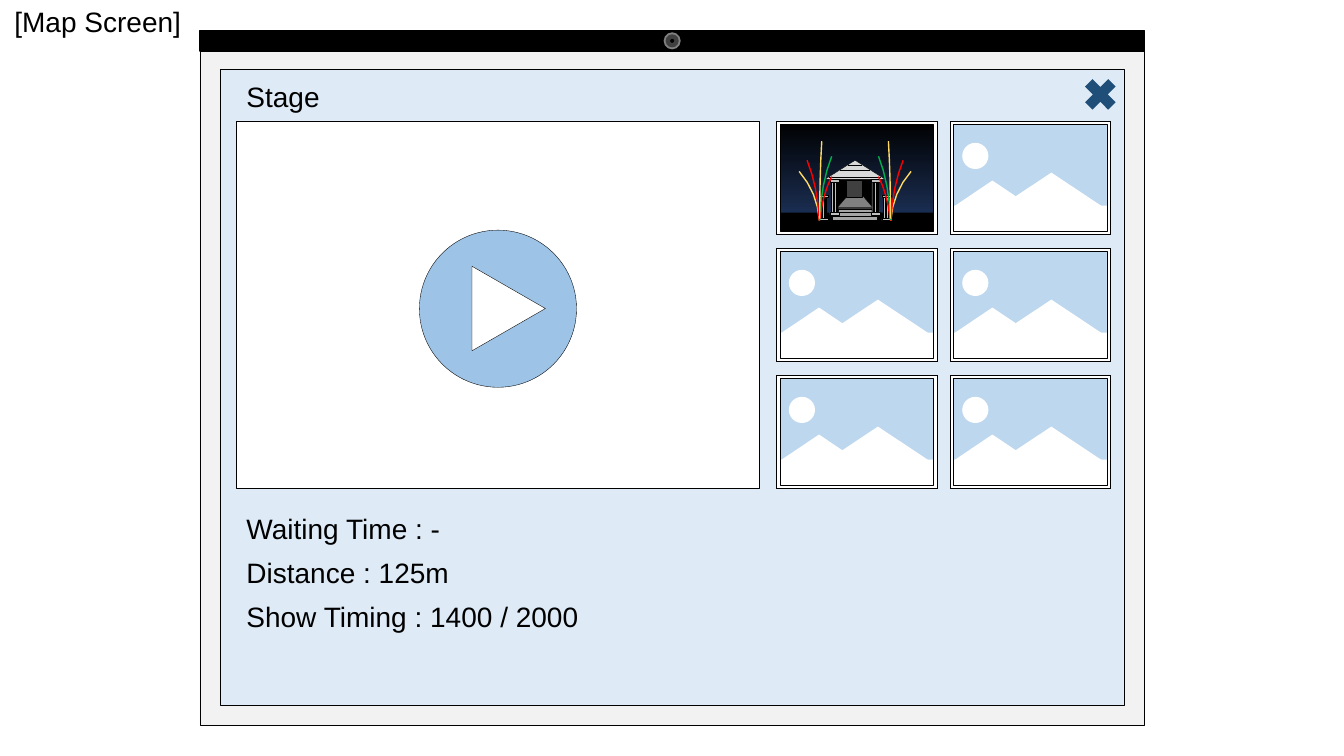
from itertools import product

from lxml.etree import SubElement
from pptx import Presentation
from pptx.dml.color import RGBColor
from pptx.enum.shapes import MSO_CONNECTOR, MSO_SHAPE
from pptx.enum.text import MSO_AUTO_SIZE, PP_ALIGN
from pptx.oxml.ns import qn
from pptx.util import Cm, Pt

BLACK = RGBColor(0x00, 0x00, 0x00)
CHARCOAL = RGBColor(0x40, 0x40, 0x40)
GRAY = RGBColor(0x80, 0x80, 0x80)
STEP_GRAY = RGBColor(0xA6, 0xA6, 0xA6)
COLUMN_GRAY = RGBColor(0xBF, 0xBF, 0xBF)
ROOF_GRAY = RGBColor(0xD9, 0xD9, 0xD9)
CASE_GRAY = RGBColor(0xF2, 0xF2, 0xF2)
WHITE = RGBColor(0xFF, 0xFF, 0xFF)
PANEL_BLUE = RGBColor(0xDE, 0xEB, 0xF7)
SKY_BLUE = RGBColor(0xBD, 0xD7, 0xEE)
PLAY_BLUE = RGBColor(0x9D, 0xC3, 0xE6)
CLOSE_BLUE = RGBColor(0x1F, 0x4E, 0x79)
NIGHT_BLUE = RGBColor(0x20, 0x38, 0x64)
YELLOW = RGBColor(0xFF, 0xD9, 0x66)
RED = RGBColor(0xFF, 0x00, 0x00)
GREEN = RGBColor(0x00, 0xB0, 0x50)

HAIRLINE = 0.25
CURVE_STEPS = 4
# Colour, base, middle and tip of each right-hand firework, from the stage axis
FIREWORKS = [
    (YELLOW, (0.9, 2.51), (1.05, 1.85), (1.41, 1.27)),
    (RED, (0.9, 2.51), (1.0, 1.7), (1.21, 0.99)),
    (GREEN, (0.89, 2.49), (0.8, 1.63), (0.59, 0.89)),
    (RED, (0.88, 2.46), (0.78, 1.9), (0.59, 1.4)),
    (YELLOW, (0.89, 2.46), (0.88, 1.45), (0.84, 0.51)),
]


def add_part(shapes, kind, left, top, width, height, color, line=None):
    shape = shapes.add_shape(kind, Cm(left), Cm(top), Cm(width), Cm(height))
    shape.shadow.inherit = False
    shape.fill.solid()
    shape.fill.fore_color.rgb = color
    if line is None:
        shape.line.fill.background()
    else:
        shape.line.color.rgb = BLACK
        shape.line.width = Pt(line)
    return shape


def add_centred(shapes, kind, axis, top, width, height, color, line=HAIRLINE):
    return add_part(shapes, kind, axis - width / 2, top, width, height, color, line)


def add_stroke(shapes, x1, y1, x2, y2):
    stroke = shapes.add_connector(MSO_CONNECTOR.STRAIGHT, Cm(x1), Cm(y1), Cm(x2), Cm(y2))
    stroke.line.color.rgb = BLACK
    stroke.line.width = Pt(HAIRLINE)
    SubElement(stroke._element.spPr, qn("a:effectLst"))


def add_label(page, text, left, top, width, align=PP_ALIGN.LEFT):
    box = page.shapes.add_textbox(Cm(left), Cm(top), Cm(width), Cm(1.11))
    frame = box.text_frame
    frame.word_wrap = True
    frame.auto_size = MSO_AUTO_SIZE.SHAPE_TO_FIT_TEXT
    frame.text = text
    para = frame.paragraphs[0]
    para.alignment = align
    span = para.runs[0]
    span.font.name = "Arial"
    span.font.size = Pt(20)
    span.font.color.rgb = BLACK


def add_tablet(page, left, top, width, height):
    shapes = page.shapes.add_group_shape().shapes
    bar = 0.52
    add_part(shapes, MSO_SHAPE.RECTANGLE, left, top + bar, width, height - bar,
             CASE_GRAY, HAIRLINE)
    add_part(shapes, MSO_SHAPE.RECTANGLE, left, top, width, bar, BLACK, 1)
    # Camera rings
    for size, color in [(0.43, GRAY), (0.33, CHARCOAL), (0.1, BLACK)]:
        add_centred(shapes, MSO_SHAPE.OVAL, left + width / 2, top + (bar - size) / 2,
                    size, size, color, None)


def add_video(page, left, top, width, height):
    add_part(page.shapes, MSO_SHAPE.RECTANGLE, left, top, width, height, WHITE, HAIRLINE)
    # Play button
    axis, middle, size = left + width / 2, top + height / 2 + 0.1, 3.96
    add_centred(page.shapes, MSO_SHAPE.OVAL, axis, middle - size / 2, size, size, PLAY_BLUE)
    arrow = add_centred(page.shapes, MSO_SHAPE.ISOSCELES_TRIANGLE, axis + 0.27,
                        middle - 0.93, 2.13, 1.85, WHITE)
    arrow.rotation = 90


def add_frame(shapes, left, top, width, height):
    frame = add_part(shapes, MSO_SHAPE.FRAME, left, top, width, height, WHITE, HAIRLINE)
    frame.adjustments[0] = 0.03


def add_landscape(page, left, top, width, height):
    shapes = page.shapes.add_group_shape().shapes
    add_part(shapes, MSO_SHAPE.RECTANGLE, left, top, width, height, SKY_BLUE, HAIRLINE)
    # Hills, sun and ground
    for kind, x, y, w, h in [
        (MSO_SHAPE.ISOSCELES_TRIANGLE, 0.09, 1.5, 1.96, 0.66),
        (MSO_SHAPE.ISOSCELES_TRIANGLE, 1.26, 1.3, 2.59, 0.86),
        (MSO_SHAPE.OVAL, 0.31, 0.55, 0.66, 0.66),
        (MSO_SHAPE.RECTANGLE, 0.09, 2.13, 3.89, 0.64),
    ]:
        add_part(shapes, kind, left + x, top + y, w, h, WHITE)
    add_frame(shapes, left, top, width, height)


def add_column(shapes, axis, top, height, cap):
    shaft = height - 2 * cap
    for y, width, part in [(0, 0.23, cap), (height - cap, 0.23, cap), (cap, 0.15, shaft)]:
        add_centred(shapes, MSO_SHAPE.RECTANGLE, axis, top + y, width, part, COLUMN_GRAY)
    for flute in (-0.04, 0, 0.04):
        add_stroke(shapes, axis + flute, top + cap, axis + flute, top + cap + shaft)


def add_firework(shapes, axis, top, side, color, base, middle, tip):
    # Quadratic curve through the three points
    bend = [2 * m - (b + t) / 2 for b, m, t in zip(base, middle, tip)]
    points = []
    for step in range(CURVE_STEPS + 1):
        t = step / CURVE_STEPS
        x, y = ((1 - t) ** 2 * b + 2 * t * (1 - t) * c + t * t * e
                for b, c, e in zip(base, bend, tip))
        points.append((Cm(axis + side * x), Cm(top + y)))
    builder = shapes.build_freeform(*points[0])
    builder.add_line_segments(points[1:], close=False)
    trail = builder.convert_to_shape()
    trail.shadow.inherit = False
    trail.fill.background()
    trail.line.color.rgb = color
    trail.line.width = Pt(1)


def add_stage(page, left, top, width, height):
    shapes = page.shapes.add_group_shape().shapes
    axis = left + width / 2 - 0.04
    # Night sky and ground
    sky = add_part(shapes, MSO_SHAPE.RECTANGLE, left, top, width, height, BLACK, HAIRLINE)
    sky.fill.gradient()
    sky.fill.gradient_angle = 270
    for stop, color in zip(sky.fill.gradient_stops, (BLACK, NIGHT_BLUE)):
        stop.color.rgb = color
    add_part(shapes, MSO_SHAPE.RECTANGLE, left + 0.06, top + 2.31, 3.89, 0.48, BLACK)
    add_frame(shapes, left, top, width, height)
    # Hall and roof
    add_centred(shapes, MSO_SHAPE.RECTANGLE, axis, top + 1.45, 0.84, 0.76, BLACK)
    add_centred(shapes, MSO_SHAPE.ISOSCELES_TRIANGLE, axis, top + 0.99, 1.52, 0.48, ROOF_GRAY)
    for half, y in [(0.38, 1.24), (0.65, 1.41), (0.17, 1.12)]:
        add_stroke(shapes, axis - half, top + y, axis + half, top + y)
    floor = add_centred(shapes, MSO_SHAPE.TRAPEZOID, axis, top + 1.88, 0.89, 0.3, GRAY)
    floor.adjustments[0] = 0.85
    add_centred(shapes, MSO_SHAPE.RECTANGLE, axis - 0.02, top + 1.5, 0.41, 0.43, CHARCOAL)
    # Columns and steps
    for side in (-1, 1):
        add_column(shapes, axis + side * 0.79, top + 1.88, 0.63, 0.05)
    for row, step in enumerate((0.84, 1.02, 1.14)):
        add_centred(shapes, MSO_SHAPE.RECTANGLE, axis, top + 2.21 + row * 0.09, step, 0.1,
                    STEP_GRAY)
    for side in (-1, 1):
        add_column(shapes, axis + side * 0.52, top + 1.47, 0.9, 0.08)
    for side, firework in product((-1, 1), FIREWORKS):
        add_firework(shapes, axis, top, side, *firework)


def add_gallery(page, left, top):
    for row, column in product(range(3), range(2)):
        draw = add_landscape if row or column else add_stage
        draw(page, left + column * 4.37, top + row * 3.2, 4.04, 2.86)


def add_map_panel(page, left, top, width, height):
    add_part(page.shapes, MSO_SHAPE.RECTANGLE, left, top, width, height, PANEL_BLUE, HAIRLINE)
    inset = left + 0.42
    add_video(page, inset, top + 1.3, 13.18, 9.26)
    # Heading and details
    for text, y, span_width in [
        ("Waiting Time : -", 11.01, 14.86),
        ("Distance : 125m", 12.12, 14.86),
        ("Stage", 0.13, 14.86),
        ("Show Timing : 1400 / 2000", 13.23, 15.7),
    ]:
        add_label(page, text, inset, top + y, span_width)
    add_part(page.shapes, MSO_SHAPE.MATH_MULTIPLY, left + width - 1.15, top + 0.07,
             1.12, 1.12, CLOSE_BLUE)
    add_gallery(page, left + 14.03, top + 1.3)


def main():
    deck = Presentation()
    deck.slide_width, deck.slide_height = Cm(33.87), Cm(19.05)
    page = deck.slides.add_slide(deck.slide_layouts[6])
    add_tablet(page, 5.04, 0.77, 23.8, 17.51)
    add_label(page, "[Map Screen]", 0, 0, 4.93, PP_ALIGN.CENTER)
    add_map_panel(page, 5.54, 1.75, 22.78, 16.03)
    deck.save("out.pptx")


if __name__ == "__main__":
    main()
